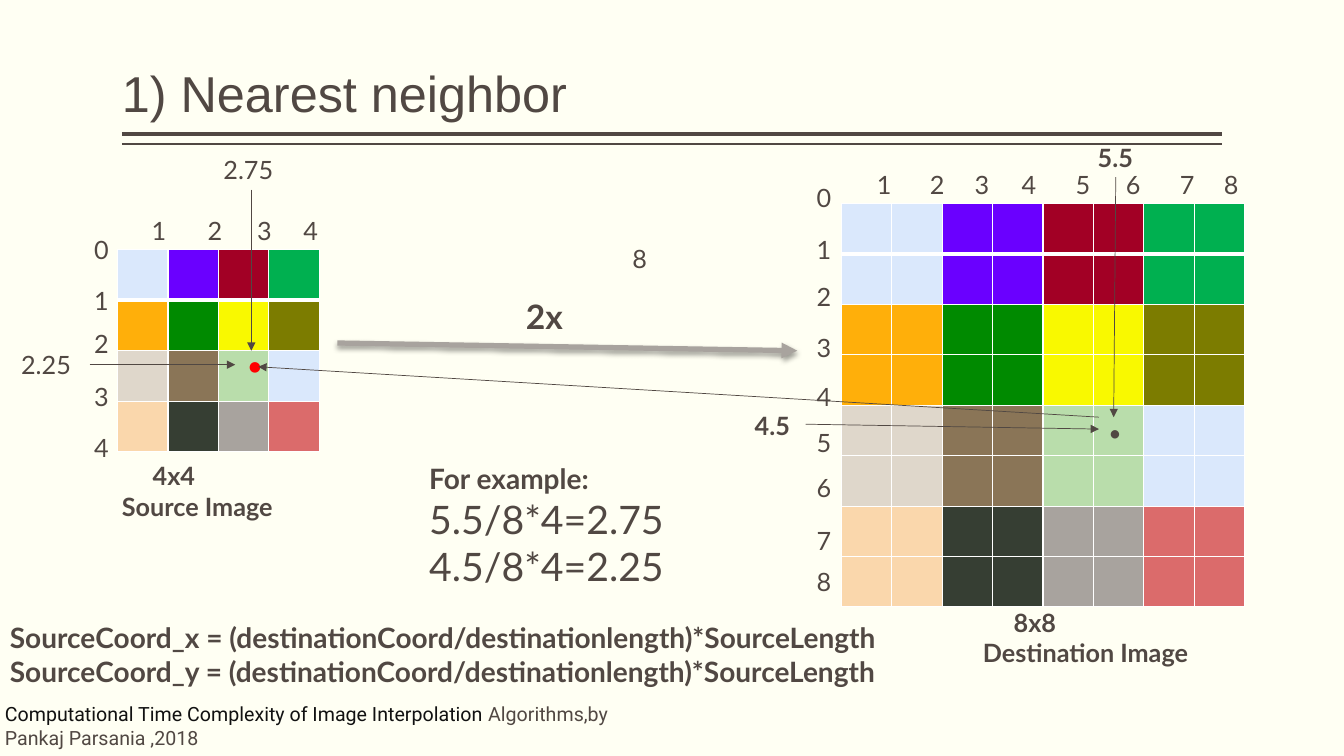
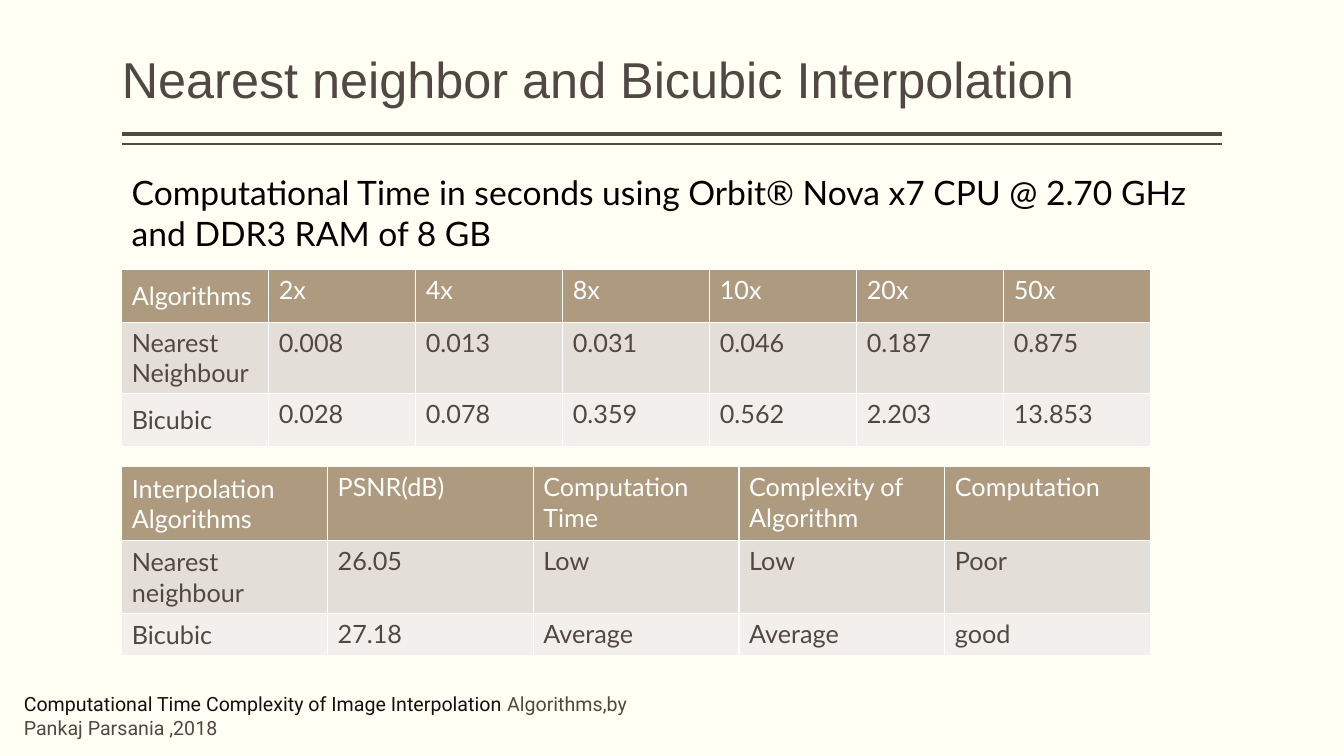
import pptx
import pptx.dml.color
import pptx.enum.shapes
import pptx.enum.text
import pptx.oxml
import pptx.oxml.ns
import pptx.util
from lxml import etree

Pt = pptx.util.Pt
ALIGN = pptx.enum.text.PP_ALIGN
ANCHOR = pptx.enum.text.MSO_ANCHOR

COLORS = {
    "paper": "FFFFF3",
    "ink": "514843",
    "black": "000000",
    "cite": "111111",
    "white": "FFFFFF",
    "arrow": "A8A39E",
    "dot": "FF0000",
    "header": "AE9A7E",
    "band": "E3DED8",
    "band_light": "F2EFEC",
    "sky": "DAE8FC",
    "violet": "6A00FF",
    "crimson": "A20025",
    "emerald": "00B050",
    "orange": "FFAF0A",
    "green": "008A00",
    "yellow": "F9F900",
    "olive": "7C7C00",
    "sand": "DFD7CB",
    "brown": "8A7557",
    "mint": "B9DDAB",
    "peach": "FAD7AC",
    "charcoal": "363E33",
    "grey": "A8A39E",
    "coral": "DB6B6B",
}
PIXELS = [
    ["sky", "violet", "crimson", "emerald"],
    ["orange", "green", "yellow", "olive"],
    ["sand", "brown", "mint", "sky"],
    ["peach", "charcoal", "grey", "coral"],
]
CELL = 36
LEFT, WIDTH = 87, 786


def rgb(name):
    return pptx.dml.color.RGBColor.from_string(COLORS[name])


def format_paragraph(p, size, color="ink", bold=False, font="Lato"):
    for r in p.runs:
        r.font.name = font
        r.font.size = Pt(size)
        r.font.bold = bold
        r.font.color.rgb = rgb(color)


def add_text(s, box, text, size, color="ink", bold=False, align=ALIGN.LEFT):
    sp = s.shapes.add_textbox(*map(Pt, box))
    tf = sp.text_frame
    tf.word_wrap = True
    tf.text = text
    for p in tf.paragraphs:
        p.alignment = align
        format_paragraph(p, size, color, bold)
    return tf


def add_line(s, start, end, width=0.5, color="ink", arrow=True, shadow=False):
    c = s.shapes.add_connector(
        pptx.enum.shapes.MSO_CONNECTOR.STRAIGHT, *map(Pt, (*start, *end)))
    c.line.color.rgb = rgb(color)
    c.line.width = Pt(width)
    if arrow:
        ln = c.line._get_or_add_ln()
        etree.SubElement(ln, pptx.oxml.ns.qn("a:tailEnd"), type="triangle")
    effects = etree.SubElement(c.element.spPr, pptx.oxml.ns.qn("a:effectLst"))
    if shadow:
        effects.append(pptx.oxml.parse_xml(
            f'<a:outerShdw {pptx.oxml.ns.nsdecls("a")} blurRad="{Pt(3.5)}" dist="{Pt(2)}" '
            f'dir="5400000" rotWithShape="0"><a:srgbClr val="{COLORS["black"]}">'
            '<a:alpha val="38000"/></a:srgbClr></a:outerShdw>'))
    return c


def style_cell(cell, fill, top=1, bottom=1):
    tcPr = cell._tc.get_or_add_tcPr()
    for side, width in (("L", 1), ("R", 1), ("T", top), ("B", bottom)):
        tcPr.append(pptx.oxml.parse_xml(
            f'<a:ln{side} {pptx.oxml.ns.nsdecls("a")} w="{Pt(width)}"><a:solidFill>'
            f'<a:srgbClr val="{COLORS["white"]}"/></a:solidFill></a:ln{side}>'))
    cell.fill.solid()
    cell.fill.fore_color.rgb = rgb(fill)


def add_table(s, left, top, col_width, heights, col_count):
    frame = s.shapes.add_table(
        len(heights), col_count, Pt(left), Pt(top),
        Pt(col_width * col_count), Pt(sum(heights)))
    table = frame.table
    table.first_row = False
    table.horz_banding = False
    for col in table.columns:
        col.width = Pt(col_width)
    for row, height in zip(table.rows, heights):
        row.height = Pt(height)
    return table


def add_pixel_grid(s, left, top, scale, label_x, label_xs, label_ys):
    n = len(PIXELS) * scale
    table = add_table(s, left, top, CELL, [CELL] * n, n)
    for i in range(n):
        for j in range(n):
            style_cell(table.cell(i, j), PIXELS[i // scale][j // scale],
                       top=3 if i == 1 else 1, bottom=3 if i == 0 else 1)
    centres = [(str(k), x, -28) for k, x in enumerate(label_xs, 1)]
    centres += [(str(k), label_x, y) for k, y in enumerate(label_ys)]
    for digit, x, y in centres:
        add_digit(s, left + x, top + y, digit)


def add_digit(s, centre, top, digit):
    add_text(s, (centre - 15, top, 30, 29), digit, 18, align=ALIGN.CENTER)


def add_caption(s, left, top, width, size_text, name):
    tf = add_text(s, (left, top, width, 51), f"{size_text}\n{name}", 18, bold=True)
    tf.paragraphs[0]._p.get_or_add_pPr().set("marL", str(Pt(22)))


def add_results(s, top, col_width, heights, rows):
    table = add_table(s, LEFT, top, col_width, heights, len(rows[0]))
    for i, (row, fill) in enumerate(zip(rows, ("header", "band", "band_light"))):
        for j, text in enumerate(row):
            cell = table.cell(i, j)
            style_cell(cell, fill)
            cell.text = text
            cell.vertical_anchor = ANCHOR.TOP if j else ANCHOR.MIDDLE
            format_paragraph(cell.text_frame.paragraphs[0], 18,
                             "ink" if i else "white")


def add_title(s, text, bottom):
    sp = s.shapes.title
    sp.left, sp.top = Pt(LEFT), Pt(0)
    sp.width, sp.height = Pt(WIDTH), Pt(bottom)
    tf = sp.text_frame
    tf.text = text
    tf.word_wrap = True
    tf.auto_size = pptx.enum.text.MSO_AUTO_SIZE.NONE
    tf.vertical_anchor = ANCHOR.BOTTOM
    tf.margin_left = tf.margin_right = Pt(0)
    p = tf.paragraphs[0]
    p.alignment = ALIGN.LEFT
    p.line_spacing = 0.9
    format_paragraph(p, 36, font="Arial")


def add_citation(s, left, top):
    tf = add_text(s, (left, top, 450, 41),
                  "Computational Time Complexity of Image Interpolation ", 14)
    tf.margin_left = Pt(3.5)
    p = tf.paragraphs[0]
    p.add_run().text = "Algorithms,by Pankaj Parsania ,2018"
    format_paragraph(p, 14, font="Roboto")
    p.runs[0].font.color.rgb = rgb("cite")


def set_up_layout(layout, s):
    for i, (y, width) in enumerate(((96, 3), (103, 1))):
        c = add_line(s, (LEFT, y), (LEFT + WIDTH, y), width, arrow=False)
        c.element.xpath(".//p:cNvPr")[0].set("id", str(20 + i))
        layout.shapes.element.append(c.element)


def build_neighbor_slide(s):
    add_title(s, "1) Nearest neighbor", 91.5)
    add_text(s, (0, 440, 838, 62),
             "SourceCoord_x = (destinationCoord/destinationlength)*SourceLength\n"
             "SourceCoord_y = (destinationCoord/destinationlength)*SourceLength",
             20, bold=True)
    tf = add_text(s, (299.5, 326, 240, 100),
                  "For example:\n5.5/8*4=2.75\n4.5/8*4=2.25", 28)
    format_paragraph(tf.paragraphs[0], 20, bold=True)

    add_pixel_grid(s, 84, 178.5, 1, -11.5, (29.5, 69.5, 105, 138),
                   (-14.5, 21.5, 52.5, 90.5, 126.5))
    add_pixel_grid(s, 601, 145.5, 2, -12.5,
                   (30.5, 68.5, 100.5, 134, 172.5, 208.5, 247, 278.5),
                   (-19, 18, 52, 88, 123, 156, 188.5, 226, 255.5))
    add_caption(s, 80, 325.5, 142, "4x4", "Source Image")
    add_caption(s, 695, 430, 200, "8x8", "Destination Image")
    add_digit(s, 457, 170, "8")
    add_text(s, (368.5, 208, 50, 36), "2x", 24, bold=True)

    for x, y, text, bold in ((152.5, 106.5, "2.75", False), (8, 246, "2.25", False),
                             (777, 98, "5.5", True), (532, 289.5, "4.5", True)):
        add_text(s, (x, y, 56, 29), text, 18, bold=bold)
    add_text(s, (168, 202.5, 36, 80), ".", 60, "dot")
    add_text(s, (784, 261.5, 30, 65), ".", 48)

    add_line(s, (241, 245), (569.5, 250.5), 3.75, "arrow", shadow=True)
    for start, end in (((785, 298), (184.5, 262)),
                       ((179.5, 135.5), (179.5, 250.5)),
                       ((64, 260.5), (168, 260.5)),
                       ((797, 126.5), (795.5, 298)),
                       ((575.5, 303), (785, 306.5))):
        add_line(s, start, end)
    add_citation(s, 0, 498)


def build_results_slide(s):
    add_title(s, "Nearest neighbor and Bicubic Interpolation", 82)
    add_text(s, (LEFT, 119.5, WIDTH, 66),
             "Computational Time in seconds using Orbit® Nova x7 CPU @ 2.70 GHz "
             "and DDR3 RAM of 8 GB", 24, "black")
    add_results(s, 192.5, 105, (38, 50.5, 38), [
        ["Algorithms", "2x", "4x", "8x", "10x", "20x", "50x"],
        ["Nearest Neighbour", "0.008", "0.013", "0.031", "0.046", "0.187", "0.875"],
        ["Bicubic", "0.028", "0.078", "0.359", "0.562", "2.203", "13.853"],
    ])
    add_results(s, 333.5, 147, (52.5, 52.5, 30), [
        ["Interpolation Algorithms", "PSNR(dB)", "Computation Time",
         "Complexity of Algorithm", "Computation"],
        ["Nearest neighbour", "26.05", "Low", "Low", "Poor"],
        ["Bicubic", "27.18", "Average", "Average", "good"],
    ])
    add_citation(s, 13.5, 491)


def main():
    prs = pptx.Presentation()
    prs.slide_width, prs.slide_height = Pt(960), Pt(540)
    fill = prs.slide_master.background.fill
    fill.solid()
    fill.fore_color.rgb = rgb("paper")
    layout = prs.slide_layouts.get_by_name("Title Only")
    slides = [prs.slides.add_slide(layout) for _ in range(2)]
    set_up_layout(layout, slides[0])
    build_neighbor_slide(slides[0])
    build_results_slide(slides[1])
    prs.save("out.pptx")


if __name__ == "__main__":
    main()
